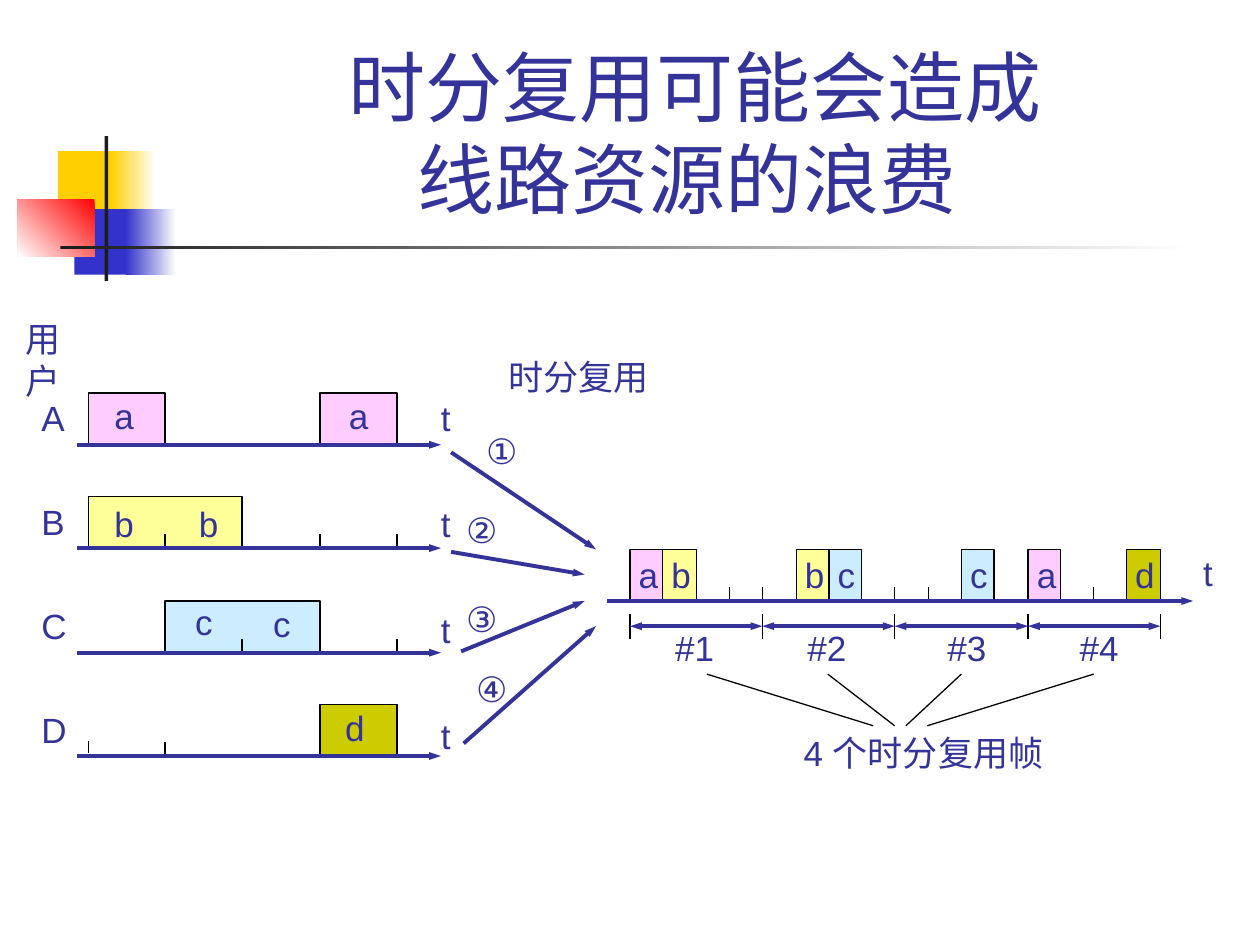
from dataclasses import dataclass

from lxml.etree import SubElement
from pptx import Presentation
from pptx.dml.color import RGBColor
from pptx.enum.shapes import MSO_CONNECTOR, MSO_SHAPE
from pptx.enum.text import MSO_ANCHOR, MSO_AUTO_SIZE, PP_ALIGN
from pptx.oxml.ns import qn
from pptx.util import Pt

PX = 9144


@dataclass(frozen=True)
class Theme:
    font: str = "Arial"
    ink: str = "333399"
    black: str = "000000"
    white: str = "FFFFFF"
    charcoal: str = "1C1C1C"
    gold: str = "FFCF01"
    blue: str = "3333CC"
    red: str = "FF0000"
    pink: str = "FFCCFF"
    yellow: str = "FFFF99"
    sky: str = "CCECFF"
    olive: str = "CCCC00"
    title_size: int = 44
    label_size: int = 20
    thin: float = 0.75
    thick: float = 2.25


def write(tf, text, size, color, font, align=PP_ALIGN.LEFT):
    p = tf.paragraphs[0]
    p.text = text
    p.alignment = align
    for r in p.runs:
        r.font.size = Pt(size)
        r.font.name = font
        r.font.color.rgb = RGBColor.from_string(color)


class Painter:
    def __init__(self, slide, theme):
        self.s = slide
        self.theme = theme

    def rect(self, x, y, w, h, color, fade_to=None, angle=0):
        sp = self.s.shapes.add_shape(MSO_SHAPE.RECTANGLE, x * PX, y * PX, w * PX, h * PX)
        sp.shadow.inherit = False
        sp.line.fill.background()
        if fade_to:
            sp.fill.gradient()
            sp.fill.gradient_angle = angle
            for stop, c in zip(sp.fill.gradient_stops, (color, fade_to)):
                stop.color.rgb = RGBColor.from_string(c)
        else:
            sp.fill.solid()
            sp.fill.fore_color.rgb = RGBColor.from_string(color)

    def cell(self, left, right, base, color, height=41):
        top = base - height
        fb = self.s.shapes.build_freeform(left, base, scale=PX)
        fb.add_line_segments([(left, top), (right, top), (right, base)], close=False)
        sp = fb.convert_to_shape()
        sp.shadow.inherit = False
        sp.fill.solid()
        sp.fill.fore_color.rgb = RGBColor.from_string(color)
        sp.line.color.rgb = RGBColor.from_string(self.theme.black)
        sp.line.width = Pt(self.theme.thin)

    def line(self, x1, y1, x2, y2, color=None, width=None, ends=()):
        cx = self.s.shapes.add_connector(
            MSO_CONNECTOR.STRAIGHT, x1 * PX, y1 * PX, x2 * PX, y2 * PX)
        cx.line.color.rgb = RGBColor.from_string(color or self.theme.black)
        cx.line.width = Pt(width or self.theme.thin)
        ln = cx.line._get_or_add_ln()
        for end in ends:
            SubElement(ln, qn(end), type="triangle", w="sm", len="med")
        SubElement(cx._element.spPr, qn("a:effectLst"))

    def arrow(self, x1, y1, x2, y2, both=False):
        ends = ("a:headEnd", "a:tailEnd") if both else ("a:tailEnd",)
        self.line(x1, y1, x2, y2, self.theme.ink, self.theme.thick, ends)

    def label(self, x, y, text, w=35):
        tf = self.s.shapes.add_textbox(x * PX, y * PX, w * PX, 44 * PX).text_frame
        tf.word_wrap = False
        tf.auto_size = MSO_AUTO_SIZE.SHAPE_TO_FIT_TEXT
        write(tf, text, self.theme.label_size, self.theme.ink, self.theme.font)

    def title(self, x, y, w, h, text):
        tf = self.s.shapes.add_textbox(x * PX, y * PX, w * PX, h * PX).text_frame
        tf.word_wrap = True
        tf.vertical_anchor = MSO_ANCHOR.BOTTOM
        write(tf, text, self.theme.title_size, self.theme.ink, self.theme.font,
              align=PP_ALIGN.CENTER)


def draw_header(d, t):
    d.rect(46, 120, 48, 52, t.gold)
    d.rect(88, 120, 36, 52, t.gold, t.white)
    d.rect(59, 166, 46, 52, t.blue)
    d.rect(100, 166, 40, 52, t.blue, t.white)
    d.rect(14, 158, 61, 46, t.red, t.white, angle=225)
    d.rect(83, 108, 3, 115, t.charcoal)
    d.rect(48, 195, 900, 3, t.charcoal, t.white)
    d.title(126, 23, 852, 160, "时分复用可能会造成\v线路资源的浪费 ")


def draw_users(d, t):
    def slot(i):
        return 70 + round(61.25 * i)

    users = [
        ("A", t.pink, [(0, 1), (3, 4)], [], [("a", 81, 308), ("a", 267, 308)]),
        ("B", t.yellow, [(0, 2)], [1, 3, 4], [("b", 81, 394), ("b", 148, 394)]),
        ("C", t.sky, [(1, 3)], [2, 4], [("c", 145, 472), ("c", 207, 473)]),
        ("D", t.olive, [(3, 4)], [1, 3], [("d", 264, 556)]),
    ]
    d.label(10, 247, "用户", 75)
    for i, (name, color, spans, ticks, letters) in enumerate(users):
        base = 353 + round(82.4 * i)
        for start, stop in spans:
            d.cell(slot(start), slot(stop), base, color)
        for k in ticks:
            d.line(slot(k), base - 11, slot(k), base)
        d.arrow(61, base, 350, base)
        d.label(23, base - 43, name, 39)
        d.label(340, 310 + 84 * i, "t", 27)
        for text, x, y in letters:
            d.label(x, y, text)
    d.line(slot(0), 588, slot(0), 598)


def draw_inputs(d):
    d.label(394, 277, "时分复用", 131)
    inputs = [
        ("①", 376, 336, (358, 359, 473, 436)),
        ("②", 360, 399, (358, 438, 464, 456)),
        ("③", 360, 469, (366, 517, 464, 477)),
        ("④", 368, 525, (368, 590, 473, 497)),
    ]
    for text, x, y, ends in inputs:
        d.arrow(*ends)
        d.label(x, y, text, 45)


def draw_frames(d, t):
    def slot(i):
        return 500 + round(26.3 * i)

    base = 477
    colors = {"a": t.pink, "b": t.yellow, "c": t.sky, "d": t.olive}
    sent = {0: "a", 1: "b", 5: "b", 6: "c", 10: "c", 12: "a", 15: "d"}
    for i, text in sent.items():
        d.cell(slot(i), slot(i + 1), base, colors[text])
    for i in (2, 3, 4, 8, 9, 14):
        d.line(slot(i), base - 11, slot(i), base)
    d.arrow(482, base, 947, base)
    d.label(945, 433, "t", 27)
    for i, text in sent.items():
        d.label(slot(i) - 3, 434, text)

    for i in range(0, 17, 4):
        d.line(slot(i), 487, slot(i), 507)
    pointers = [(526, 561, 693), (631, 657, 710), (742, 763, 719), (847, 868, 736)]
    for n, (x, start, end) in enumerate(pointers):
        d.arrow(slot(4 * n), 497, slot(4 * n + 4), 497, both=True)
        d.label(x, 492, f"#{n + 1}", 51)
        d.line(start, 535, end, 576)
    d.label(628, 576, "4 个时分复用帧", 217)


def main():
    prs = Presentation()
    prs.slide_width = 1000 * PX
    prs.slide_height = 750 * PX
    t = Theme()
    d = Painter(prs.slides.add_slide(prs.slide_layouts[6]), t)
    draw_header(d, t)
    draw_users(d, t)
    draw_inputs(d)
    draw_frames(d, t)
    prs.save("out.pptx")


if __name__ == "__main__":
    main()
